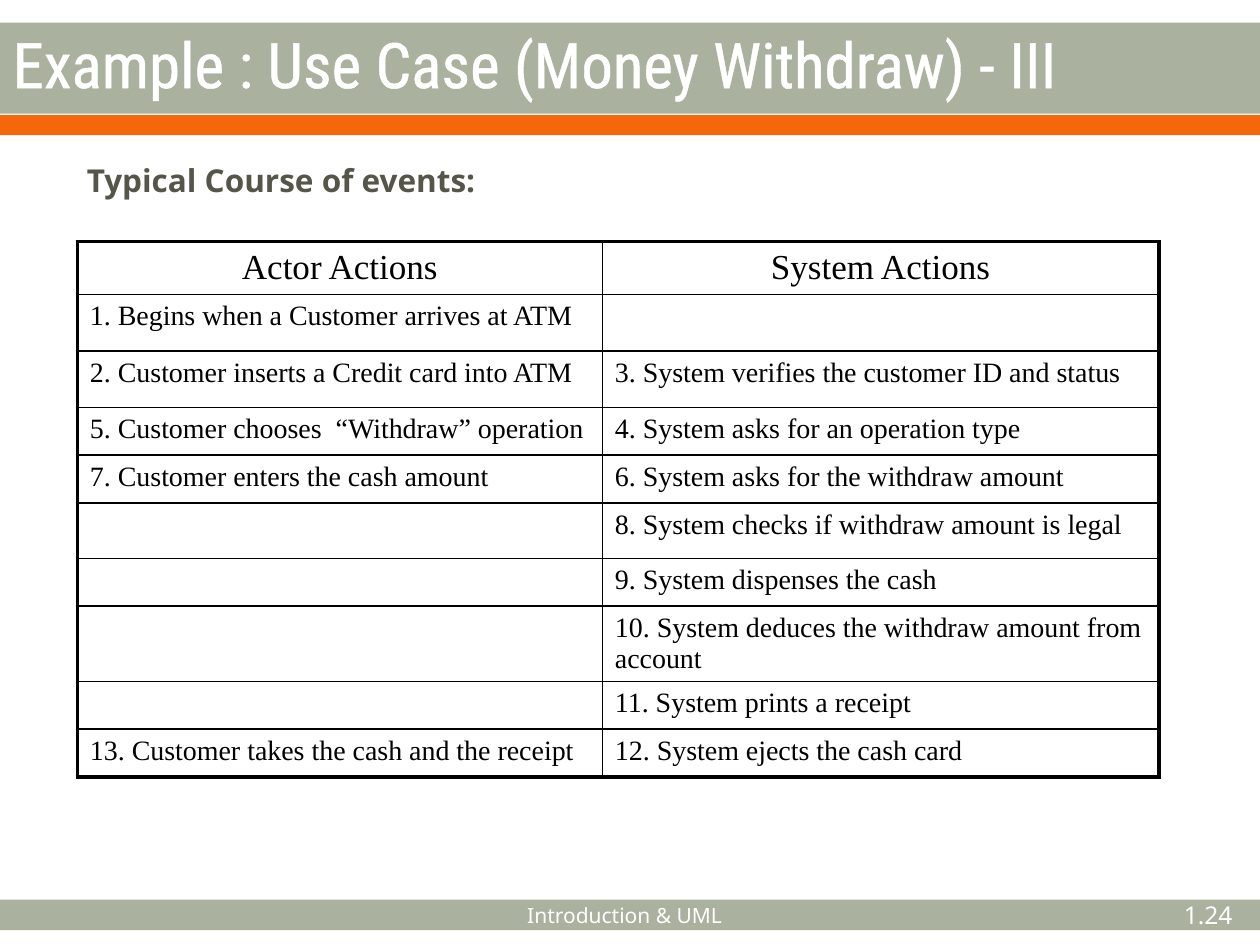
from lxml import etree
from pptx import Presentation
from pptx.dml.color import RGBColor
from pptx.enum import shapes, text
from pptx.oxml import ns
from pptx.util import Pt

WHITE = RGBColor(0xFF, 0xFF, 0xFF)
BLACK = RGBColor(0, 0, 0)
SAGE = RGBColor(0xAB, 0xB1, 0x9F)
ORANGE = RGBColor(0xF4, 0x68, 0x0B)
OLIVE = RGBColor(0x55, 0x55, 0x4A)
LEFT, CENTER, RIGHT = text.PP_ALIGN.LEFT, text.PP_ALIGN.CENTER, text.PP_ALIGN.RIGHT


def add_line(parent, tag, width, color, index):
    ln = etree.Element(ns.qn(tag), w=str(Pt(width)))
    fill = etree.SubElement(ln, ns.qn("a:solidFill"))
    etree.SubElement(fill, ns.qn("a:srgbClr"), val=str(color))
    parent.insert(index, ln)


def write(p, words, font, size, color, align=LEFT, bold=False):
    p.text = words
    p.alignment = align
    p.font.name = font
    p.font.size = Pt(size)
    p.font.color.rgb = color
    p.font.bold = bold


prs = Presentation()
prs.slide_width, prs.slide_height = Pt(720), Pt(540)
s = prs.slides.add_slide(prs.slide_layouts[5])
title = s.shapes.title

for top, height, color in [(514, 17.5, SAGE), (13, 52, SAGE), (65.75, 11.5, ORANGE)]:
    band = s.shapes.add_shape(shapes.MSO_SHAPE.RECTANGLE, 0, Pt(top), Pt(720), Pt(height))
    band.shadow.inherit = False
    band.fill.solid()
    band.fill.fore_color.rgb = color
    band.line.fill.background()
    title._element.addprevious(band._element)

title.left, title.top, title.width, title.height = 0, Pt(13.7), Pt(720), Pt(44.6)
tf = title.text_frame
tf.auto_size = text.MSO_AUTO_SIZE.NONE
tf.vertical_anchor = text.MSO_ANCHOR.MIDDLE
write(tf.paragraphs[0], "Example : Use Case (Money Withdraw) - III", "Roboto Condensed", 36, WHITE)
r = tf.paragraphs[0].runs[0]
add_line(r.font._element, "a:ln", 1.1, WHITE, 0)

MIDDLE, TOP = text.MSO_ANCHOR.MIDDLE, text.MSO_ANCHOR.TOP
labels = [
    ("Typical Course of events:", 42.5, 88.6, 558, 28, 18, OLIVE, LEFT, True, TOP),
    ("Introduction & UML", 167, 508.3, 380, 28.8, 12, WHITE, CENTER, False, MIDDLE),
    ("1.24", 586.8, 508.3, 124.6, 28.8, 14, WHITE, RIGHT, False, MIDDLE),
]
for words, left, top, width, height, size, color, align, bold, anchor in labels:
    tf = s.shapes.add_textbox(Pt(left), Pt(top), Pt(width), Pt(height)).text_frame
    tf.word_wrap = True
    tf.vertical_anchor = anchor
    write(tf.paragraphs[0], words, "Noto Sans", size, color, align, bold)

events = [
    ("Actor Actions", "System Actions", 30.2),
    ("1. Begins when a Customer arrives at ATM", "", 32.3),
    ("2. Customer inserts a Credit card into ATM", "3. System verifies the customer ID and status", 32.3),
    ("5. Customer chooses  “Withdraw” operation", "4. System asks for an operation type", 27.4),
    ("7. Customer enters the cash amount", "6. System asks for the withdraw amount", 27.4),
    ("", "8. System checks if withdraw amount is legal", 31.5),
    ("", "9. System dispenses the cash", 27.4),
    ("", "10. System deduces the withdraw amount from account", 43),
    ("", "11. System prints a receipt", 27.2),
    ("13. Customer takes the cash and the receipt", "12. System ejects the cash card", 27.4),
]
widths = [300, 318]
total = sum(row[2] for row in events)
table = s.shapes.add_table(len(events), 2, Pt(44.2), Pt(138), Pt(sum(widths)), Pt(total)).table
table.first_row = table.horz_banding = False
for column, width in zip(table.columns, widths):
    column.width = Pt(width)

last = len(events) - 1
for i, (actor, system, height) in enumerate(events):
    table.rows[i].height = Pt(height)
    for j, words in enumerate((actor, system)):
        cell = table.cell(i, j)
        cell.margin_bottom = Pt(1)
        cell.fill.background()
        edges = [("a:lnL", j == 0), ("a:lnR", j == 1), ("a:lnT", i == 0), ("a:lnB", i == last)]
        for k, (tag, outer) in enumerate(edges):
            add_line(cell._tc.tcPr, tag, 2.25 if outer else 1, BLACK, k)
        p = cell.text_frame.paragraphs[0]
        write(p, words, "Times New Roman", 16 if i else 20, BLACK, LEFT if i else CENTER)
        p.space_before = Pt(0)

prs.save("out.pptx")
